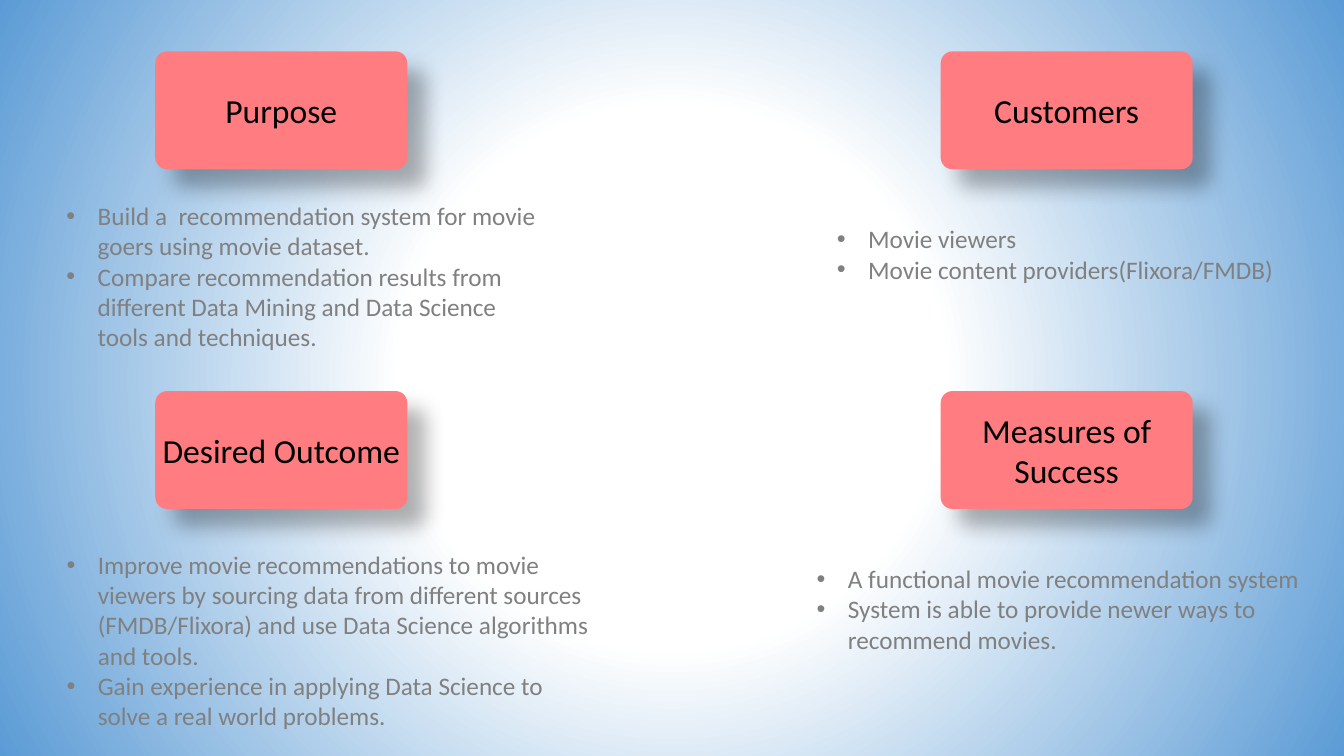
from lxml import etree
from pptx import Presentation
from pptx.dml.color import RGBColor
from pptx.enum.shapes import MSO_SHAPE as Preset
from pptx.enum.text import MSO_ANCHOR as Anchor, MSO_AUTO_SIZE as AutoSize, PP_ALIGN as Align
from pptx.oxml import parse_xml
from pptx.oxml.ns import nsdecls, qn
from pptx.util import Inches, Pt

CORAL = RGBColor(0xFF, 0x7C, 0x80)
BLACK = RGBColor(0, 0, 0)
GRAY = RGBColor(0x80, 0x80, 0x80)
WHITE = RGBColor(0xFF, 0xFF, 0xFF)
BLUE = RGBColor(0x5B, 0x9B, 0xD5)

CARD_LEFTS = (1.54, 9.33)
CARD_TOPS = (0.51, 3.88)

# Card column, card row, heading, bullet box (left, top, width, height), bullets
TOPICS = [
    (0, 0, "Purpose", (0.61, 1.94, 4.87, 1.56), [
        "Build a  recommendation system for movie goers using movie dataset.",
        "Compare recommendation results from different Data Mining and "
        "Data Science tools and techniques."]),
    (1, 0, "Customers", (8.25, 2.17, 4.86, 0.68), [
        "Movie viewers",
        "Movie content providers(Flixora/FMDB)"]),
    (0, 1, "Desired Outcome", (0.61, 5.4, 5.39, 2.14), [
        "Improve movie recommendations to movie viewers by sourcing data from "
        "different sources (FMDB/Flixora) and use Data Science algorithms and tools.",
        "Gain experience in applying Data Science to solve a real world problems."]),
    (1, 1, "Measures of Success", (8.05, 5.54, 5.06, 1.85), [
        "A functional movie recommendation system",
        "System is able to provide newer ways to recommend movies."]),
]


class SlideBuilder:
    """Holds the text style and the slide being filled."""

    font_name = "Calibri"
    heading_size = Pt(24)
    body_size = Pt(18)
    indent = Inches(0.31)

    def __init__(self, slide):
        """Keep the slide to draw on."""
        self.slide = slide

    def radial_background(self, stops):
        """Fill the background with a circular gradient from the centre."""
        self.slide.background.fill.gradient()
        linear = next(self.slide.element.iter(qn("a:gradFill")))
        stop_xml = "".join(
            f'<a:gs pos="{percent * 1000}"><a:srgbClr val="{color}"/></a:gs>'
            for percent, color in stops)
        linear.getparent().replace(linear, parse_xml(
            f'<a:gradFill {nsdecls("a")} rotWithShape="1"><a:gsLst>{stop_xml}</a:gsLst>'
            '<a:path path="circle"><a:fillToRect l="50000" t="50000" r="50000" b="50000"/>'
            '</a:path></a:gradFill>'))

    def set_font(self, paragraph, size, color):
        """Apply the slide font to a whole paragraph."""
        font = paragraph.font
        font.name, font.size, font.color.rgb = self.font_name, size, color

    def set_margins(self, frame, margin):
        """Give a text frame equal margins and wrapped lines."""
        frame.margin_left = frame.margin_right = margin
        frame.margin_top = frame.margin_bottom = margin
        frame.word_wrap = True

    def cast_shadow(self, shape):
        """Drop a soft shadow to the lower right."""
        shape.shadow.inherit = False
        effects = shape.element.spPr.find(qn("a:effectLst"))
        effects.append(parse_xml(
            f'<a:outerShdw {nsdecls("a")} blurRad="{Pt(15)}" dist="{Pt(18)}" '
            'dir="2700000" algn="tl" rotWithShape="0"><a:srgbClr val="000000">'
            '<a:alpha val="30000"/></a:srgbClr></a:outerShdw>'))

    def heading_card(self, left, top, heading):
        """Add a rounded card with a centred heading."""
        card = self.slide.shapes.add_shape(
            Preset.ROUNDED_RECTANGLE, Inches(left), Inches(top), Inches(2.5), Inches(1.17))
        card.adjustments[0] = 0.1
        card.fill.solid()
        card.fill.fore_color.rgb = CORAL
        card.line.fill.background()
        self.cast_shadow(card)
        frame = card.text_frame
        self.set_margins(frame, 0)
        frame.vertical_anchor = Anchor.MIDDLE
        frame.text = heading
        frame.paragraphs[0].alignment = Align.CENTER
        self.set_font(frame.paragraphs[0], self.heading_size, BLACK)

    def bullet_list(self, box, bullets):
        """Add a text box with one bulleted paragraph per item."""
        frame = self.slide.shapes.add_textbox(*map(Inches, box)).text_frame
        self.set_margins(frame, Inches(0.05))
        frame.auto_size = AutoSize.SHAPE_TO_FIT_TEXT
        frame.text = "\n".join(bullets)
        for paragraph in frame.paragraphs:
            self.set_font(paragraph, self.body_size, GRAY)
            properties = paragraph._p.get_or_add_pPr()
            properties.set("marL", str(self.indent))
            properties.set("indent", str(-self.indent))
            marks = (etree.Element(qn("a:buFont"), typeface="Arial"),
                     etree.Element(qn("a:buChar"), char="•"))
            for position, mark in enumerate(marks):
                properties.insert(position, mark)


def main():
    """Build the project overview slide."""
    deck = Presentation()
    deck.slide_width, deck.slide_height = Inches(13.33), Inches(7.5)
    blank_layout = deck.slide_layouts[6]
    builder = SlideBuilder(deck.slides.add_slide(blank_layout))
    builder.radial_background([(0, WHITE), (35, WHITE), (100, BLUE)])
    for column, row, heading, box, bullets in TOPICS:
        builder.heading_card(CARD_LEFTS[column], CARD_TOPS[row], heading)
        builder.bullet_list(box, bullets)
    deck.save("out.pptx")


main()
